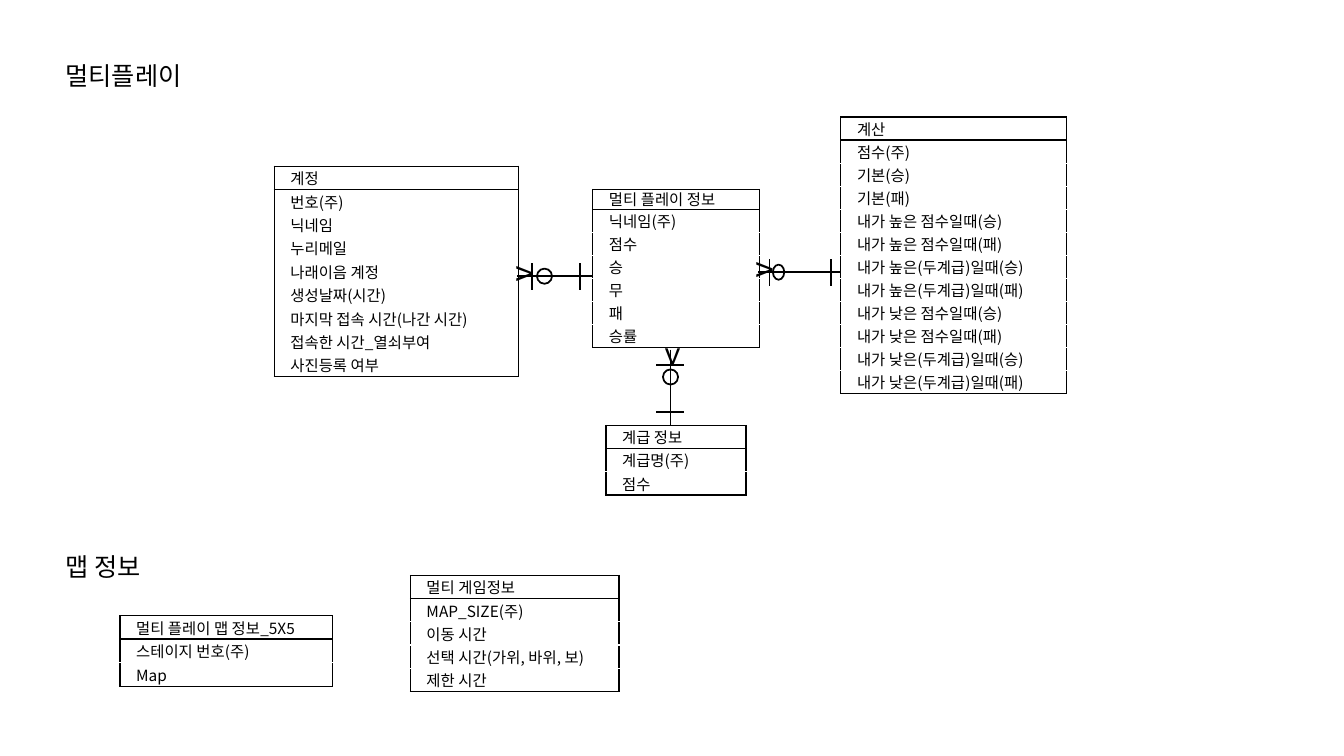
from pptx import Presentation
from pptx.dml.color import RGBColor
from pptx.enum.shapes import MSO_CONNECTOR, MSO_SHAPE
from pptx.enum.text import MSO_ANCHOR, MSO_AUTO_SIZE, PP_ALIGN
from pptx.oxml.ns import qn
from pptx.util import Inches, Pt
from lxml.etree import SubElement

FONT = "Noto Sans CJK KR"
BLACK, WHITE = "000000", "FFFFFF"
ROW = 0.23

ENTITIES = [
    ((2.72, 1.65, 2.42, 2.09), ROW, None,
     ["계정", "번호(주)", "닉네임", "누리메일", "나래이음 계정", "생성날짜(시간)",
      "마지막 접속 시간(나간 시간)", "접속한 시간_열쇠부여", "사진등록 여부"]),
    ((5.88, 1.88, 1.65, 1.57), 0.2, WHITE,
     ["멀티 플레이 정보", "닉네임(주)", "점수", "승", "무", "패", "승률"]),
    ((6.01, 4.22, 1.39, 0.69), ROW, WHITE,
     ["계급 정보", "계급명(주)", "점수"]),
    ((8.34, 1.16, 2.24, 2.75), ROW, WHITE,
     ["계산", "점수(주)", "기본(승)", "기본(패)"]
     + [f"내가 {level}{case}({result})"
        for level in ("높은", "낮은")
        for case in (" 점수일때", "(두계급)일때")
        for result in "승패"]),
    ((1.19, 6.11, 2.11, 0.7), ROW, WHITE,
     ["멀티 플레이 맵 정보_5X5", "스테이지 번호(주)", "Map"]),
    ((4.07, 5.71, 2.07, 1.15), ROW, WHITE,
     ["멀티 게임정보", "MAP_SIZE(주)", "이동 시간", "선택 시간(가위, 바위, 보)", "제한 시간"]),
]


def color(value):
    return RGBColor.from_string(value)


def write(tf, text, size=11, fill=BLACK, spacing=1.0):
    p = tf.paragraphs[0]
    p.alignment = PP_ALIGN.LEFT
    p.line_spacing = spacing
    r = p.add_run()
    r.text = text
    r.font.size = Pt(size)
    r.font.name = FONT
    r.font.color.rgb = color(fill)
    SubElement(r.font._element, qn("a:ea"), typeface=FONT)


def heading(sp, box, text, size=18):
    sp.left, sp.top, sp.width, sp.height = map(Inches, box)
    tf = sp.text_frame
    tf.word_wrap = False
    tf.auto_size = MSO_AUTO_SIZE.NONE
    tf.vertical_anchor = MSO_ANCHOR.TOP
    write(tf, text, size=size)


def border(cell, side, fill):
    ln = SubElement(cell._tc.get_or_add_tcPr(), qn(f"a:ln{side}"), w=str(Pt(1)))
    if fill is None:
        SubElement(ln, qn("a:noFill"))
    else:
        SubElement(SubElement(ln, qn("a:solidFill")), qn("a:srgbClr"), val=fill)


def entity_table(s, box, header, divider, names):
    x, y, w, h = map(Inches, box)
    table = s.shapes.add_table(len(names), 1, x, y, w, h).table
    table.first_row = table.horz_banding = False
    last = len(names) - 1
    for i, name in enumerate(names):
        height = header if i == 0 else (box[3] - header) / last
        table.rows[i].height = Inches(height)
        cell = table.cell(i, 0)
        cell.margin_left = Inches(0.16)
        cell.margin_right = Inches(0.01)
        cell.margin_top = cell.margin_bottom = 0
        cell.vertical_anchor = MSO_ANCHOR.MIDDLE
        border(cell, "L", BLACK)
        border(cell, "R", BLACK)
        border(cell, "T", BLACK if i < 2 else divider)
        border(cell, "B", BLACK if i in (0, last) else divider)
        cell.fill.solid()
        cell.fill.fore_color.rgb = color(WHITE)
        write(cell.text_frame, name, spacing=0.87 if height < 0.22 else 1.0)


def line(shapes, start, end):
    cn = shapes.add_connector(MSO_CONNECTOR.STRAIGHT, *map(Inches, start + end))
    cn.line.color.rgb = color(BLACK)
    cn.line.width = Pt(1.25)
    SubElement(cn._element.spPr, qn("a:effectLst"))


def relation(s, x, y, length, vertical=False, squeeze=1):
    shapes = s.shapes.add_group_shape().shapes

    def at(along, across):
        return (x - across, y + along) if vertical else (x + along, y + across)

    def centered(along, across, w, h):
        cx, cy = at(along, across)
        return cx - w / 2, cy - h / 2, w, h

    line(shapes, at(0, 0), at(length, 0))
    for along in (0.15 * squeeze, length - 0.13 * squeeze):
        line(shapes, at(along, -0.13), at(along, 0.14))

    ring_box = centered(0.27 * squeeze, 0, 0.15 * squeeze, 0.15)
    ring = shapes.add_shape(MSO_SHAPE.OVAL, *map(Inches, ring_box))
    ring.shadow.inherit = False
    ring.fill.background()
    ring.line.color.rgb = color(BLACK)
    ring.line.width = Pt(1.25)

    foot = shapes.add_textbox(0, 0, 0, 0)
    heading(foot, centered(0.1, -0.03, 0.44, 0.5), ">", size=24)
    foot.rotation = 90 if vertical else 0


def main():
    prs = Presentation()
    prs.slide_width, prs.slide_height = Inches(13.33), Inches(7.5)
    s = prs.slides.add_slide(prs.slide_layouts[5])
    heading(s.shapes.title, (0.55, 0.55, 1.46, 0.4), "멀티플레이")
    heading(s.shapes.add_textbox(0, 0, 0, 0), (0.55, 5.42, 1.05, 0.4), "맵 정보")
    for entity in ENTITIES:
        entity_table(s, *entity)
    relation(s, 5.13, 2.74, 0.75)
    relation(s, 7.52, 2.7, 0.82, squeeze=0.75)
    relation(s, 6.65, 3.47, 0.75, vertical=True)
    prs.save("out.pptx")


if __name__ == "__main__":
    main()
